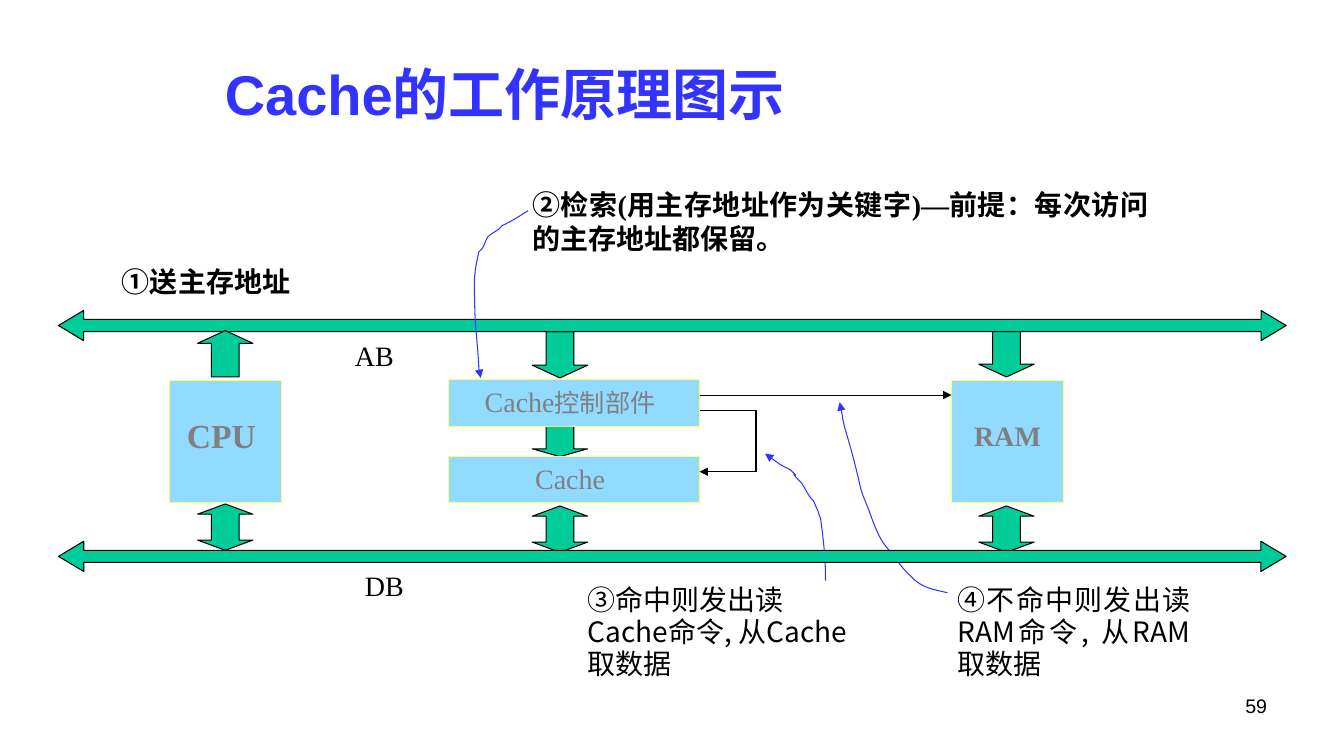
from lxml.etree import SubElement
from pptx import Presentation
from pptx.dml.color import RGBColor
from pptx.enum.shapes import MSO_CONNECTOR, MSO_SHAPE
from pptx.enum.text import MSO_ANCHOR, PP_ALIGN
from pptx.oxml.ns import qn
from pptx.util import Pt

PX = 9144  # 100 px to the inch
THEME = {
    "arrow": RGBColor.from_string("00CC99"),
    "block": RGBColor.from_string("90DBFF"),
    "border": RGBColor.from_string("FFFF66"),
    "label": RGBColor.from_string("808080"),
    "ink": RGBColor.from_string("000000"),
    "accent": RGBColor.from_string("3333FF"),
    "sans": "Arial", "serif": "Times New Roman", "cjk": "Noto Sans CJK SC",
    "title": 40, "cpu": 24, "body": 20, "small": 18, "number": 14, "stroke": 0.75,
}


def format_run(run, font, size, color, bold=False):
    run.font.size = Pt(THEME[size])
    run.font.bold = bold
    run.font.color.rgb = THEME[color]
    run.font.name = THEME[font]
    SubElement(run.font._element, qn("a:ea"), typeface=THEME["cjk"])


def write(shape, text, margins, align, font, size, color, bold=False, spacing=1.0):
    """Fill a shape with text; margins are left, top, right, bottom in px."""
    frame = shape.text_frame
    frame.text = text
    frame.word_wrap = True
    frame.vertical_anchor = MSO_ANCHOR.TOP
    frame.margin_left, frame.margin_top, frame.margin_right, frame.margin_bottom = (
        margin * PX for margin in margins)
    for paragraph in frame.paragraphs:
        paragraph.alignment = align
        paragraph.line_spacing = spacing
        format_run(paragraph.runs[0], font, size, color, bold)


presentation = Presentation()
presentation.slide_height = 750 * PX
presentation.slide_width = presentation.slide_height * 16 // 9
slide = presentation.slides.add_slide(presentation.slide_layouts[6])

# Buses, block arrows and blocks
DOWN, UP = MSO_SHAPE.DOWN_ARROW, MSO_SHAPE.UP_ARROW
BOTH, BUS, BLOCK = MSO_SHAPE.UP_DOWN_ARROW, MSO_SHAPE.LEFT_RIGHT_ARROW, MSO_SHAPE.RECTANGLE
diagram = {}
for name, kind, left, top, width, height, adjustments in [
    ("control to cache", DOWN, 528, 422, 55, 31, (0.5, 0.25)),
    ("address to RAM", DOWN, 971, 328, 55, 46, (0.5, 0.275)),
    ("address to control", DOWN, 528, 329, 55, 46, (0.5, 0.275)),
    ("address bus", BUS, 58, 308, 1218, 30, (0.404, 0.831)),
    ("CPU", BLOCK, 168, 377, 111, 122, ()),
    ("CPU and data", BOTH, 196, 500, 55, 46, (0.5, 0.221)),
    ("CPU to address", UP, 196, 328, 55, 46, (0.5, 0.275)),
    ("control", BLOCK, 445, 377, 249, 46, ()),
    ("cache", BLOCK, 445, 453, 249, 46, ()),
    ("cache and data", BOTH, 528, 502, 55, 46, (0.5, 0.221)),
    ("RAM", BLOCK, 944, 377, 111, 122, ()),
    ("RAM and data", BOTH, 971, 502, 55, 46, (0.5, 0.221)),
    ("data bus", BUS, 58, 537, 1218, 30, (0.404, 0.836)),
]:
    shape = slide.shapes.add_shape(kind, left * PX, top * PX, width * PX, height * PX)
    for index, adjustment in enumerate(adjustments):
        shape.adjustments[index] = adjustment
    # Up-down arrows need the guide names adj1 and adj2 to take their values
    for number, guide in enumerate(shape._element.spPr.iter(qn("a:gd")), start=1):
        guide.set("name", f"adj{number}")
    shape.shadow.inherit = False
    shape.fill.solid()
    shape.fill.fore_color.rgb = THEME["block" if kind == BLOCK else "arrow"]
    shape.line.color.rgb = THEME["border" if kind == BLOCK else "ink"]
    shape.line.width = Pt(THEME["stroke"])
    diagram[name] = shape

for name, text, margins, size, bold in [
    ("CPU", "CPU", (2, 35, 10, 5), "cpu", True),
    ("control", "Cache", (2, 5, 10, 5), "body", False),
    ("cache", "Cache", (2, 5, 10, 5), "body", False),
    ("RAM", "RAM", (0, 38, 0, 5), "body", True),
]:
    write(diagram[name], text, margins, PP_ALIGN.CENTER, "serif", size, "label", bold)
control_suffix = diagram["control"].text_frame.paragraphs[0].add_run()
control_suffix.text = "控制部件"
format_run(control_suffix, "serif", "small", "label")

# Control signals: miss goes to RAM, hit returns to the cache
arrowheads = []
for start_x, start_y, end_x, end_y, pointed in [
    (694, 392, 944, 392, True),
    (694, 407, 750, 407, False),
    (750, 407, 750, 468, False),
    (750, 468, 694, 468, True),
]:
    signal = slide.shapes.add_connector(
        MSO_CONNECTOR.STRAIGHT, start_x * PX, start_y * PX, end_x * PX, end_y * PX)
    signal.line.color.rgb = THEME["ink"]
    signal.line.width = Pt(THEME["stroke"])
    SubElement(signal._element.spPr, qn("a:effectLst"))
    if pointed:
        arrowheads.append((signal, "a:tailEnd"))

# Callout curves: a start point, then three points for each Bézier segment
for end, points in [
    ("a:tailEnd", [
        (524, 209), (516, 214), (507, 220), (498, 224), (495, 229), (489, 230), (484, 235),
        (480, 241), (482, 244), (475, 250), (471, 270), (470, 271), (471, 301),
        (471, 321), (474, 342), (475, 363), (475, 367), (477, 375), (477, 375)]),
    ("a:headEnd", [
        (759, 450), (766, 455), (775, 462), (784, 466), (797, 479), (781, 463), (791, 475),
        (792, 476), (794, 478), (795, 479), (800, 486), (801, 491), (807, 497),
        (809, 501), (810, 504), (812, 508), (812, 510), (814, 514), (814, 514),
        (817, 536), (819, 553), (819, 576)]),
    ("a:tailEnd", [
        (940, 588), (928, 585), (915, 584), (904, 572), (895, 564), (887, 552), (879, 542),
        (872, 534), (867, 520), (862, 506), (861, 503), (859, 499), (858, 496),
        (856, 492), (854, 485), (854, 485), (849, 462), (844, 444), (838, 424),
        (836, 416), (835, 406), (833, 399)]),
]:
    builder = slide.shapes.build_freeform(*points[0], scale=PX)
    builder.add_line_segments(points[1:], close=False)
    curve = builder.convert_to_shape()
    outline = curve._element.find(".//" + qn("a:path"))
    segments = outline.findall(qn("a:lnTo"))
    for index, segment in enumerate(segments):
        if index % 3 == 0:
            bezier = SubElement(outline, qn("a:cubicBezTo"))
        bezier.append(segment[0])
        outline.remove(segment)
    curve.shadow.inherit = False
    curve.fill.background()
    curve.line.color.rgb = THEME["accent"]
    curve.line.width = Pt(THEME["stroke"])
    arrowheads.append((curve, end))

for shape, end in arrowheads:
    SubElement(shape.line._get_or_add_ln(), qn(end), type="triangle")

# The data bus lies over the callout curves
slide.shapes._spTree.append(diagram["data bus"]._element)

# Title, bus names, steps and slide number
FLUSH, INSET = (0, 0, 0, 0), (10, 5, 10, 5)
LEFT, RIGHT, JUSTIFY = PP_ALIGN.LEFT, PP_ALIGN.RIGHT, PP_ALIGN.JUSTIFY
for text, left, top, width, height, margins, align, font, size, color, bold, spacing in [
    ("Cache的工作原理图示", 67, 30, 852, 125, (25, 5, 10, 5), PP_ALIGN.CENTER,
     "sans", "title", "accent", True, 1.0),
    ("AB", 352, 336, 55, 31, FLUSH, JUSTIFY, "serif", "body", "ink", False, 1.0),
    ("DB", 362, 564, 55, 31, FLUSH, JUSTIFY, "serif", "body", "ink", False, 1.0),
    ("①送主存地址", 121, 265, 231, 32, FLUSH, JUSTIFY, "cjk", "body", "ink", True, 0.96),
    ("②检索(用主存地址作为关键字)—前提：每次访问的主存地址都保留。", 528, 186, 611, 91,
     FLUSH, JUSTIFY, "serif", "body", "ink", True, 1.0),
    ("③命中则发出读\nCache命令, 从Cache取数据", 583, 580, 273, 92,
     FLUSH, LEFT, "cjk", "body", "ink", False, 0.96),
    ("④不命中则发出读RAM命令, 从RAM取数据", 950, 580, 231, 102,
     FLUSH, JUSTIFY, "cjk", "body", "ink", False, 0.96),
    ("59", 956, 683, 311, 52, INSET, RIGHT, "sans", "number", "ink", False, 1.0),
]:
    box = slide.shapes.add_textbox(left * PX, top * PX, width * PX, height * PX)
    write(box, text, margins, align, font, size, color, bold, spacing)
    if size == "title":
        box.text_frame.vertical_anchor = MSO_ANCHOR.MIDDLE

presentation.save("out.pptx")
